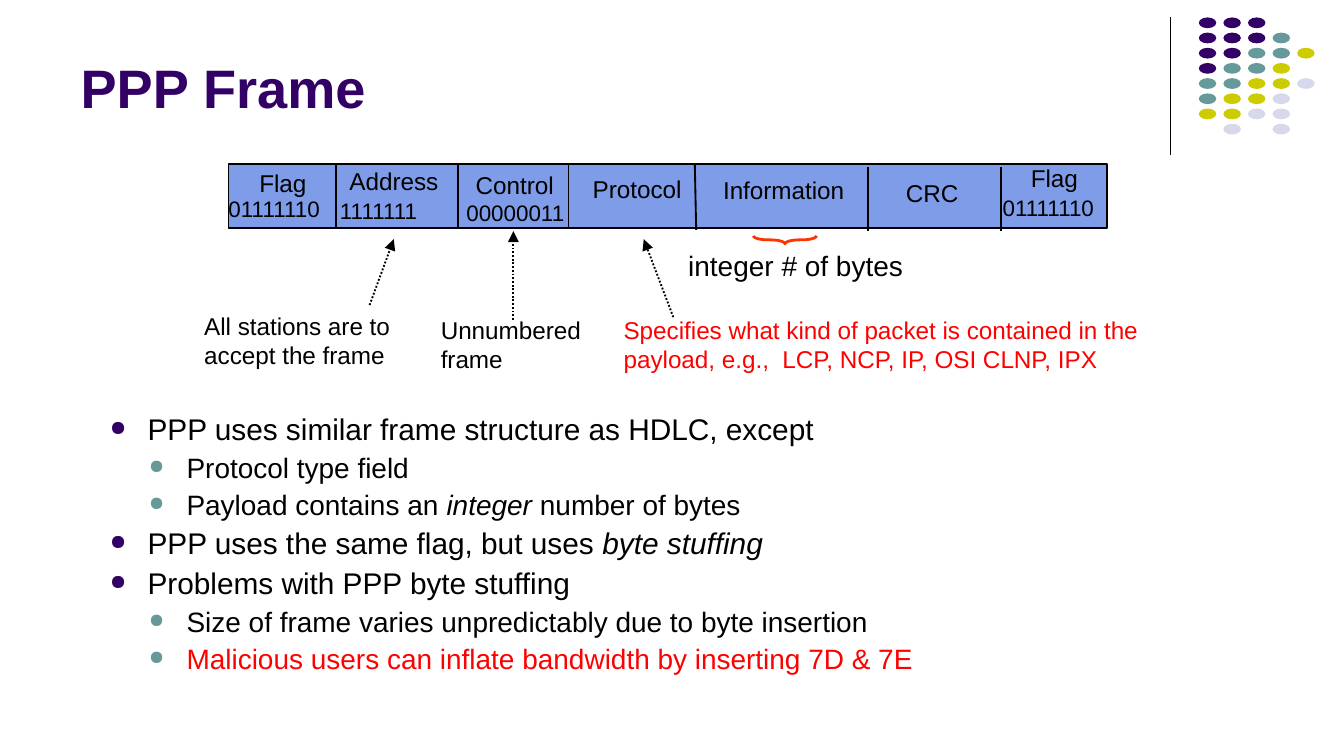
"""Build the PPP Frame slide on a grid of 100 columns and 56.25 rows."""
from dataclasses import dataclass
from typing import NamedTuple, Optional

from lxml.etree import SubElement
from pptx import Presentation
from pptx.dml.color import RGBColor
from pptx.enum.dml import MSO_LINE
from pptx.enum.shapes import MSO_CONNECTOR, MSO_SHAPE
from pptx.enum.text import MSO_ANCHOR, PP_ALIGN
from pptx.oxml.ns import qn
from pptx.util import Inches, Pt

COLUMNS, ROWS = 100, 56.25
FONT = "Arial"
BLACK, PURPLE, TEAL, RED = "000000", "330066", "669999", "FF0000"
DOT_COLOURS = {"P": PURPLE, "T": TEAL, "Y": "CCCC00", "L": "D8D8EC"}
DOT_ROWS = ("PPP", "PPPT", "PPTTY", "PTTY", "TTYYL", "TYYL", "YYLL", " L L")


@dataclass
class Label:
    """Text in a box; places and sizes are in columns and rows."""
    text: str
    left: float
    top: float
    width: float
    height: float = 2.9
    size: float = 13
    colour: str = BLACK
    wrap: bool = False
    inset: float = 0.7
    align: PP_ALIGN = PP_ALIGN.LEFT


@dataclass
class Rule:
    """A straight line, possibly dashed or with an arrowhead."""
    left: float
    top: float
    right: float
    bottom: float
    width: float = 1
    dash: str = ""
    arrow: bool = False


class Level(NamedTuple):
    """The look of one outline level."""
    size: float
    indent: float
    space: float
    bullet: str


LEVELS = (Level(16, 2.8, 4, PURPLE), Level(15, 5.7, 3.7, TEAL))
OUTLINE = (
    (0, "PPP uses similar frame structure as HDLC, except", BLACK),
    (1, "Protocol type field", BLACK),
    (1, "Payload contains an *integer* number of bytes", BLACK),
    (0, "PPP uses the same flag, but uses *byte stuffing*", BLACK),
    (0, "Problems with PPP byte stuffing", BLACK),
    (1, "Size of frame varies unpredictably due to byte insertion", BLACK),
    (1, "Malicious users can inflate bandwidth by inserting 7D & 7E", RED),
)
LABELS = (
    Label("Flag", 18.6, 12.2, 5),
    Label("Flag", 76, 11.8, 5),
    Label("Address", 25.3, 12, 8.1),
    Label("Control", 34.7, 12.3, 7.3),
    Label("Information", 53.1, 12.7, 10.5),
    Label("CRC", 66.7, 12.9, 5.4),
    Label("Protocol", 43.4, 12.6, 8.1),
    Label("01111110", 16.3, 14.2, 8.9, 2.7, 12),
    Label("01111110", 73.9, 14.1, 8.9, 2.7, 12),
    Label("1111111", 24.6, 14.3, 8, 2.7, 12),
    Label("00000011", 34, 14.5, 8.9, 2.7, 12),
    Label("Unnumbered frame", 32.1, 23.1, 13.3, 5.1, wrap=True),
    Label("Specifies what kind of packet is contained in the payload, "
          "e.g.,  LCP, NCP, IP, OSI CLNP, IPX",
          45.7, 23.1, 41.8, 5.1, colour=RED, wrap=True),
    Label("All stations are to\naccept the frame", 14.5, 22.8, 15.3, 5.1),
    Label("integer # of bytes", 50.2, 18, 18, 3.5, 15, inset=1, align=PP_ALIGN.CENTER),
)
RULES = (
    *(Rule(column, 12.2, column, 17) for column in (25, 34.1, 42.3)),
    *(Rule(column, 12.4, column, 17.2) for column in (64.6, 74.5)),
    Rule(51.7, 12.2, 51.8, 17.1),
    Rule(38.2, 23.8, 38.2, 17.2, dash="dotted", arrow=True),
    Rule(50.1, 23.6, 47.9, 17.8, dash="dotted", arrow=True),
    Rule(27.5, 22.7, 29.3, 17.8, dash="fine", arrow=True),
)


def rgb(colour: str) -> RGBColor:
    """Turn a hex string into a colour."""
    return RGBColor.from_string(colour)


def grid(*cells: float) -> list:
    """Turn columns or rows, both a tenth of an inch, into lengths."""
    return [Inches(cell / 10) for cell in cells]


def style(paragraph, size: float, colour: str, bold: bool = False) -> None:
    """Format every run of a paragraph."""
    for span in paragraph.runs:
        span.font.name, span.font.size, span.font.bold = FONT, Pt(size), bold
        span.font.color.rgb = rgb(colour)


def paint(fill, colour: Optional[str]) -> None:
    """Make a fill solid, or clear it when there is no colour."""
    if colour:
        fill.solid()
        fill.fore_color.rgb = rgb(colour)
    else:
        fill.background()


def draw_shape(page, kind: MSO_SHAPE, cells: tuple, fill: Optional[str] = None,
               line: Optional[str] = None, width: float = 1):
    """Draw a preset shape with the given fill and outline."""
    shape = page.shapes.add_shape(kind, *grid(*cells))
    shape.shadow.inherit = False
    shape.line.width = Pt(width)
    paint(shape.fill, fill)
    paint(shape.line.fill, line)
    return shape


def draw_rule(page, rule: Rule) -> None:
    """Draw a line or arrow."""
    ends = grid(rule.left, rule.top, rule.right, rule.bottom)
    connector = page.shapes.add_connector(MSO_CONNECTOR.STRAIGHT, *ends)
    connector.line.width = Pt(rule.width)
    paint(connector.line.fill, BLACK)
    outline = connector.line._get_or_add_ln()
    if rule.dash == "dotted":
        connector.line.dash_style = MSO_LINE.ROUND_DOT
    elif rule.dash == "fine":
        SubElement(SubElement(outline, qn("a:custDash")), qn("a:ds"), d="100000", sp="100000")
    if rule.arrow:
        SubElement(outline, qn("a:tailEnd"), type="triangle")
    SubElement(connector._element.spPr, qn("a:effectLst"))


def draw_label(page, label: Label) -> None:
    """Draw a text box."""
    cells = grid(label.left, label.top, label.width, label.height)
    frame = page.shapes.add_textbox(*cells).text_frame
    frame.word_wrap = label.wrap
    frame.margin_left, frame.margin_right = grid(label.inset, label.inset)
    frame.margin_top, frame.margin_bottom = grid(label.inset / 2, label.inset / 2)
    frame.text = label.text
    for paragraph in frame.paragraphs:
        paragraph.alignment = label.align
        style(paragraph, label.size, label.colour)


def add_bullet(paragraph, level: Level) -> None:
    """Give a paragraph a hanging coloured bullet."""
    properties = paragraph._p.get_or_add_pPr()
    for name, length in zip(("marL", "indent"), grid(level.indent, -2.8)):
        properties.set(name, str(length))
    SubElement(SubElement(properties, qn("a:buClr")), qn("a:srgbClr"), val=level.bullet)
    SubElement(properties, qn("a:buSzPct"), val="70000")
    SubElement(properties, qn("a:buChar"), char="●")


def draw_outline(page) -> None:
    """Draw the bulleted text, with italics between asterisks."""
    frame = page.shapes.add_textbox(*grid(7.2, 30.4, 77, 21.4)).text_frame
    frame.word_wrap = True
    for index, (depth, text, colour) in enumerate(OUTLINE):
        paragraph = frame.add_paragraph() if index else frame.paragraphs[0]
        level = LEVELS[depth]
        paragraph.level, paragraph.line_spacing = depth, 0.9
        paragraph.space_before = Pt(level.space)
        add_bullet(paragraph, level)
        for part, words in enumerate(text.rstrip("*").split("*")):
            span = paragraph.add_run()
            span.text = words
            span.font.italic = part % 2 == 1
        style(paragraph, level.size, colour)


def draw_title(page) -> None:
    """Place and format the title placeholder."""
    title = page.shapes.title
    title.left, title.top, title.width, title.height = grid(5, 1, 82.5, 8.4)
    title.text_frame.text = "PPP Frame"
    title.text_frame.vertical_anchor = MSO_ANCHOR.BOTTOM
    paragraph = title.text_frame.paragraphs[0]
    paragraph.alignment = PP_ALIGN.LEFT
    style(paragraph, 29, PURPLE, bold=True)


def main() -> None:
    """Build and save the deck."""
    deck = Presentation()
    deck.slide_width, deck.slide_height = grid(COLUMNS, ROWS)
    page = deck.slides.add_slide(deck.slide_layouts[5])
    draw_rule(page, Rule(87.1, 1.3, 87.1, 11.5, 0.75))
    for row, letters in enumerate(DOT_ROWS):
        for column, letter in enumerate(letters):
            if letter in DOT_COLOURS:
                cells = (89.2 + 1.83 * column, 1.3 + 1.13 * row, 1.3, 0.8)
                draw_shape(page, MSO_SHAPE.OVAL, cells, DOT_COLOURS[letter])
    draw_title(page)
    draw_outline(page)
    draw_shape(page, MSO_SHAPE.RECTANGLE, (17, 12.2, 65.4, 4.8), "7E9CE8", BLACK)
    for rule in RULES:
        draw_rule(page, rule)
    for label in LABELS:
        draw_label(page, label)
    brace = draw_shape(page, MSO_SHAPE.RIGHT_BRACE, (58.1, 15.5, 0.6, 4.7), None, "FF3300", 1.5)
    brace.adjustments[0] = 1.83
    brace.rotation = 90
    deck.save("out.pptx")


main()
